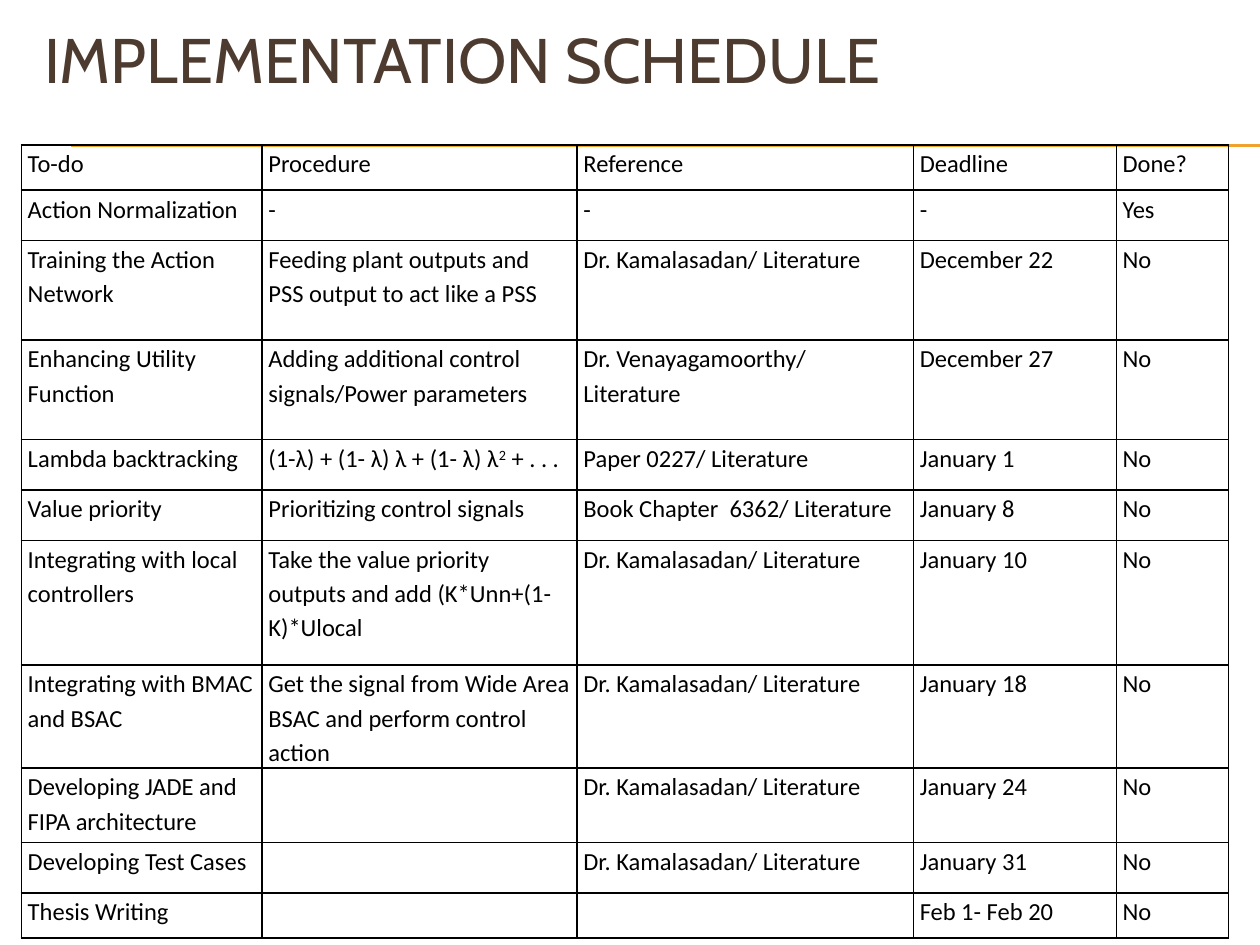
from dataclasses import dataclass

import lxml.etree
import pptx
import pptx.dml.color
import pptx.enum.text
import pptx.oxml.ns
import pptx.util
from pptx.util import Inches

qn = pptx.oxml.ns.qn
RGB = pptx.dml.color.RGBColor.from_string


@dataclass(frozen=True)
class Theme:
    title_color: str = "4E3B30"
    rule_color: str = "F0A22E"
    ink: str = "000000"
    title_font: str = "Cabin"
    body_font: str = "Calibri"
    title_size: int = 36
    body_size: int = 14
    rule_width: float = 0.75
    border_width: float = 1


@dataclass(frozen=True)
class Task:
    todo: str
    procedure: str
    reference: str
    deadline: str
    done: str = "No"
    height: float = 0.4

    def texts(self) -> tuple[str, ...]:
        return self.todo, self.procedure, self.reference, self.deadline, self.done


THEME = Theme()
ADVISOR = "Dr. Kamalasadan/ Literature"
COLUMN_WIDTHS = (1.91, 2.5, 2.67, 1.61, 0.89)
# A caret marks the next character as superscript
TASKS = (
    Task("To-do", "Procedure", "Reference", "Deadline", "Done?", 0.36),
    Task("Action Normalization", "-", "-", "-", "Yes"),
    Task("Training the Action Network",
         "Feeding plant outputs and PSS output to act like a PSS",
         ADVISOR, "December 22", height=0.79),
    Task("Enhancing Utility Function",
         "Adding additional control signals/Power parameters",
         "Dr. Venayagamoorthy/ Literature", "December 27", height=0.79),
    Task("Lambda backtracking", "(1-λ) + (1- λ) λ + (1- λ) λ^2 + . . .",
         "Paper 0227/ Literature", "January 1"),
    Task("Value priority", "Prioritizing control signals",
         "Book Chapter  6362/ Literature", "January 8"),
    Task("Integrating with local controllers",
         "Take the value priority outputs and add (K*Unn+(1-K)*Ulocal",
         ADVISOR, "January 10", height=0.99),
    Task("Integrating with BMAC and BSAC",
         "Get the signal from Wide Area BSAC and perform control action",
         ADVISOR, "January 18", height=0.79),
    Task("Developing JADE and FIPA architecture", "", ADVISOR, "January 24",
         height=0.59),
    Task("Developing Test Cases", "", ADVISOR, "January 31"),
    Task("Thesis Writing", "", "", "Feb 1- Feb 20", height=0.36),
)


def set_all(obj, values: dict) -> None:
    for name, value in values.items():
        setattr(obj, name, value)


def format_font(font, name: str, size: float, color: str) -> None:
    set_all(font, {"name": name, "size": pptx.util.Pt(size), "bold": False})
    font.color.rgb = RGB(color)


def add_rule(s, y: float) -> None:
    line = s.shapes.add_connector(
        pptx.enum.shapes.MSO_CONNECTOR.STRAIGHT,
        Inches(0.56), Inches(y), Inches(10), Inches(y))
    line.line.color.rgb = RGB(THEME.rule_color)
    line.line.width = pptx.util.Pt(THEME.rule_width)
    lxml.etree.SubElement(line._element.spPr, qn("a:effectLst"))


def add_borders(cell) -> None:
    tc_pr = cell._tc.get_or_add_tcPr()
    for side in ("lnL", "lnR", "lnT", "lnB"):
        ln = lxml.etree.SubElement(tc_pr, qn(f"a:{side}"),
                                   w=str(pptx.util.Pt(THEME.border_width)))
        fill = lxml.etree.SubElement(ln, qn("a:solidFill"))
        lxml.etree.SubElement(fill, qn("a:srgbClr"), val=THEME.ink)


def add_run(p, text: str, superscript: bool = False) -> None:
    if not text:
        return
    r = p.add_run()
    r.text = text
    format_font(r.font, THEME.body_font, THEME.body_size, THEME.ink)
    if superscript:
        r._r.get_or_add_rPr().set("baseline", "30000")


def fill_cell(cell, text: str) -> None:
    set_all(cell, {"margin_left": Inches(0.05), "margin_right": Inches(0.05),
                   "margin_top": 0, "margin_bottom": 0})
    add_borders(cell)
    cell.fill.background()
    p = cell.text_frame.paragraphs[0]
    p.line_spacing = 1.15
    base, _, rest = text.partition("^")
    add_run(p, base)
    add_run(p, rest[:1], superscript=True)
    add_run(p, rest[1:])


def add_schedule(s, tasks: tuple[Task, ...]) -> None:
    frame = s.shapes.add_table(
        len(tasks), len(COLUMN_WIDTHS), Inches(0.17), Inches(1.15),
        Inches(sum(COLUMN_WIDTHS)), Inches(sum(t.height for t in tasks)))
    table = frame.table
    set_all(table, {"first_row": False, "horz_banding": False})
    for column, width in zip(table.columns, COLUMN_WIDTHS):
        column.width = Inches(width)
    for row, task in zip(table.rows, tasks):
        row.height = Inches(task.height)
        for cell, text in zip(row.cells, task.texts()):
            fill_cell(cell, text)


def add_title(s, text: str) -> None:
    sp = s.shapes.title
    set_all(sp, {"left": Inches(0.25), "top": 0,
                 "width": Inches(9.5), "height": Inches(0.92)})
    tf = sp.text_frame
    set_all(tf, {"word_wrap": True,
                 "auto_size": pptx.enum.text.MSO_AUTO_SIZE.NONE,
                 "vertical_anchor": pptx.enum.text.MSO_ANCHOR.MIDDLE})
    p = tf.paragraphs[0]
    p.alignment = pptx.enum.text.PP_ALIGN.LEFT
    r = p.add_run()
    r.text = text
    format_font(r.font, THEME.title_font, THEME.title_size, THEME.title_color)


def main() -> None:
    prs = pptx.Presentation()
    set_all(prs, {"slide_width": Inches(10), "slide_height": Inches(7.5)})
    s = prs.slides.add_slide(prs.slide_layouts[5])

    # Double rule below the title
    for y in (1.15, 1.16):
        add_rule(s, y)

    # Title and schedule
    add_title(s, "IMPLEMENTATION SCHEDULE")
    add_schedule(s, TASKS)

    prs.save("out.pptx")


if __name__ == "__main__":
    main()
